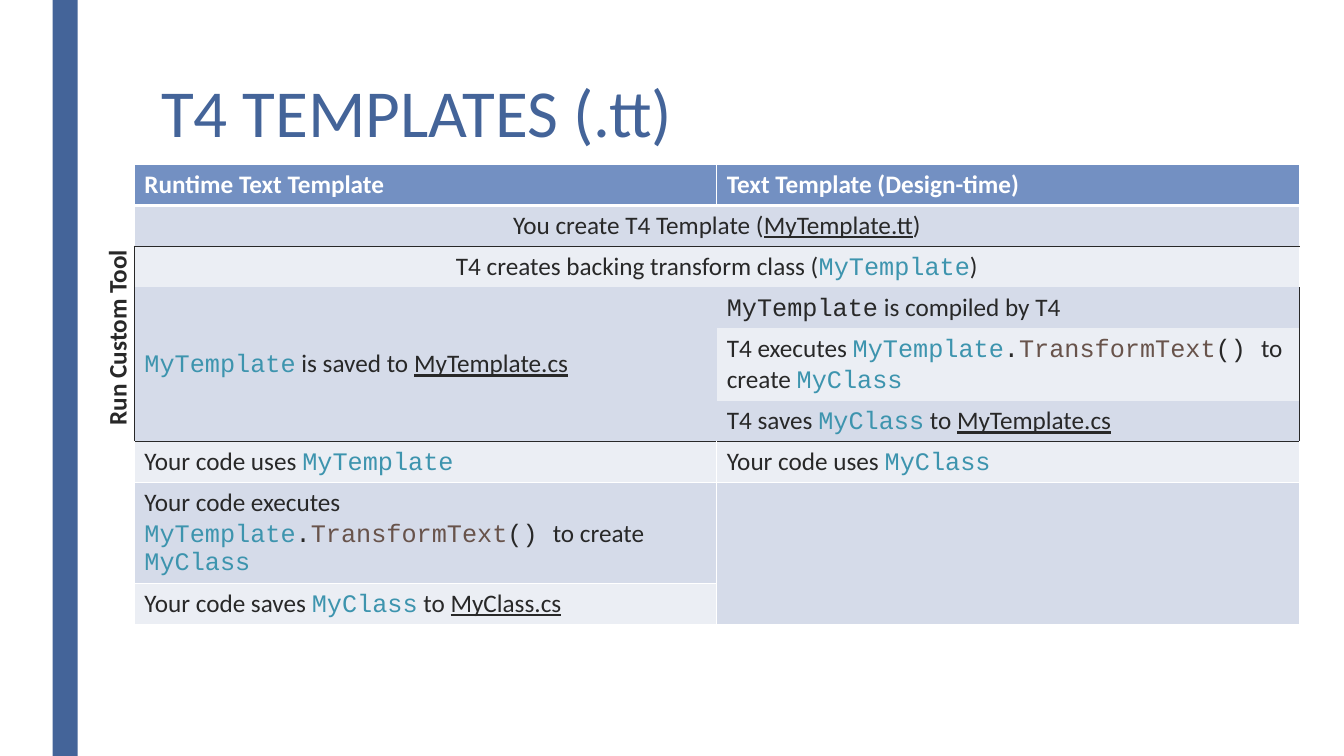
from pptx import Presentation
from pptx.dml.color import RGBColor
from pptx.enum.shapes import MSO_SHAPE
from pptx.enum.text import MSO_ANCHOR, PP_ALIGN
from pptx.oxml.ns import qn
from pptx.util import Pt
from lxml import etree

RECTANGLE = MSO_SHAPE.RECTANGLE
TOP, MIDDLE = MSO_ANCHOR.TOP, MSO_ANCHOR.MIDDLE
LEFT, CENTER = PP_ALIGN.LEFT, PP_ALIGN.CENTER

BLUE = RGBColor(0x44, 0x64, 0x99)
HEADER_BLUE = RGBColor(0x73, 0x90, 0xC2)
DARK_BAND = RGBColor(0xD5, 0xDB, 0xE9)
LIGHT_BAND = RGBColor(0xEB, 0xEE, 0xF4)
WHITE = RGBColor(0xFF, 0xFF, 0xFF)
INK = RGBColor(0x28, 0x28, 0x28)
TEAL = RGBColor(0x3D, 0x94, 0xAE)
BROWN = RGBColor(0x68, 0x53, 0x4B)

SANS, MONO = "Calibri", "Courier New"
STYLES = {
    "title": dict(size=48, color=BLUE),
    "header": dict(color=WHITE, bold=True),
    "label": dict(bold=True),
    "plain": dict(),
    "file": dict(underline=True),
    "code": dict(font=MONO),
    "type": dict(font=MONO, color=TEAL),
    "method": dict(font=MONO, color=BROWN),
}


class SlideBuilder:
    def __init__(self, presentation):
        self.slide = presentation.slides.add_slide(presentation.slide_layouts[6])

    def add_runs(self, paragraph, runs):
        for text, style in runs:
            self.add_run(paragraph, text, **STYLES[style])

    def add_run(self, paragraph, text, size=18, font=SANS, color=INK,
                bold=False, underline=False):
        run = paragraph.add_run()
        run.text = text
        run.font.size = Pt(size)
        run.font.name = font
        run.font.color.rgb = color
        run.font.bold = bold
        run.font.underline = underline

    def bar(self, left, top, width, height, color):
        shape = self.slide.shapes.add_shape(
            RECTANGLE, Pt(left), Pt(top), Pt(width), Pt(height))
        shape.shadow.inherit = False
        shape.fill.solid()
        shape.fill.fore_color.rgb = color
        shape.line.fill.background()

    def text(self, left, top, width, height, runs, line_spacing=1.0, vertical=None):
        box = self.slide.shapes.add_textbox(Pt(left), Pt(top), Pt(width), Pt(height))
        frame = box.text_frame
        frame.word_wrap = True
        frame.vertical_anchor = TOP
        if vertical:
            frame._txBody.find(qn("a:bodyPr")).set("vert", vertical)
        paragraph = frame.paragraphs[0]
        paragraph.line_spacing = line_spacing
        self.add_runs(paragraph, runs)

    def table(self, left, top, column_width, row_heights, column_count):
        table = self.slide.shapes.add_table(
            len(row_heights), column_count, Pt(left), Pt(top),
            Pt(column_width * column_count), Pt(sum(row_heights))).table
        table.horz_banding = False
        for column in table.columns:
            column.width = Pt(column_width)
        for row, height in zip(table.rows, row_heights):
            row.height = Pt(height)
        return table

    def border(self, cell, side, color, width):
        properties = cell._tc.get_or_add_tcPr()
        line = etree.SubElement(properties, qn("a:ln" + side), w=str(Pt(width)))
        if color is None:
            etree.SubElement(line, qn("a:noFill"))
        else:
            fill = etree.SubElement(line, qn("a:solidFill"))
            etree.SubElement(fill, qn("a:srgbClr"), val=str(color))

    def cell(self, cell, runs, fill, borders, alignment):
        for side, (color, width) in borders.items():
            self.border(cell, side, color, width)
        cell.fill.solid()
        cell.fill.fore_color.rgb = fill
        cell.vertical_anchor = MIDDLE
        paragraph = cell.text_frame.paragraphs[0]
        paragraph.alignment = alignment
        self.add_runs(paragraph, runs)


TOOL_FIRST, TOOL_LAST = 2, 5


def edge(row_above):
    if row_above == 0:
        return WHITE, 3
    if row_above in (TOOL_FIRST - 1, TOOL_LAST):
        return INK, 1
    if TOOL_FIRST <= row_above < TOOL_LAST:
        return None, 1
    return WHITE, 1


def cell_borders(row, column):
    in_tool = TOOL_FIRST <= row <= TOOL_LAST
    outer = (INK if in_tool else WHITE, 1)
    inner = (None if in_tool else WHITE, 1)
    return {
        "L": outer if column == 0 else inner,
        "R": outer if column == 1 else inner,
        "T": edge(row - 1),
        "B": edge(row),
    }


MY_TEMPLATE = ("MyTemplate", "type")
MY_CLASS = ("MyClass", "type")
TEMPLATE_FILE = ("MyTemplate.cs", "file")
TRANSFORM = [MY_TEMPLATE, (".", "code"), ("TransformText", "method"),
             ("() ", "code"), ("to create ", "plain"), MY_CLASS]

ROWS = [
    ([("Runtime Text Template", "header")],
     [("Text Template (Design-time)", "header")]),
    ([("You create T4 Template (", "plain"), ("MyTemplate.tt", "file"),
      (")", "plain")], []),
    ([("T4 creates backing transform class (", "plain"), MY_TEMPLATE,
      (")", "plain")], []),
    ([MY_TEMPLATE, (" is saved to ", "plain"), TEMPLATE_FILE],
     [("MyTemplate", "code"), (" is compiled by T4", "plain")]),
    ([], [("T4 executes ", "plain"), *TRANSFORM]),
    ([], [("T4 saves ", "plain"), MY_CLASS, (" to ", "plain"), TEMPLATE_FILE]),
    ([("Your code uses ", "plain"), MY_TEMPLATE],
     [("Your code uses ", "plain"), MY_CLASS]),
    ([("Your code executes ", "plain"), *TRANSFORM], []),
    ([("Your code saves ", "plain"), MY_CLASS, (" to ", "plain"),
      ("MyClass.cs", "file")], []),
]
ROW_HEIGHTS = [29.2, 29.2, 29.2, 29.2, 52, 29.2, 29.2, 72, 29.2]
CENTERED_ROWS = (1, 2)
MERGES = [((1, 0), (1, 1)), ((2, 0), (2, 1)), ((3, 0), (5, 0)), ((7, 1), (8, 1))]

presentation = Presentation()
presentation.slide_width = Pt(960)
presentation.slide_height = Pt(540)

builder = SlideBuilder(presentation)
builder.bar(37.5, 0, 18, 540, BLUE)
builder.text(108, 54, 756, 71, [("T4 TEMPLATES (.tt)", "title")], line_spacing=0.89)

table = builder.table(96, 117.5, 416, ROW_HEIGHTS, 2)
for row, contents in enumerate(ROWS):
    band = HEADER_BLUE if row == 0 else DARK_BAND if row % 2 else LIGHT_BAND
    alignment = CENTER if row in CENTERED_ROWS else LEFT
    for column, runs in enumerate(contents):
        builder.cell(table.cell(row, column), runs, band,
                     cell_borders(row, column), alignment)
for first, last in MERGES:
    table.cell(*first).merge(table.cell(*last))

builder.text(69, 155.5, 36, 155.5, [("Run Custom Tool", "label")], vertical="vert270")

presentation.save("out.pptx")
